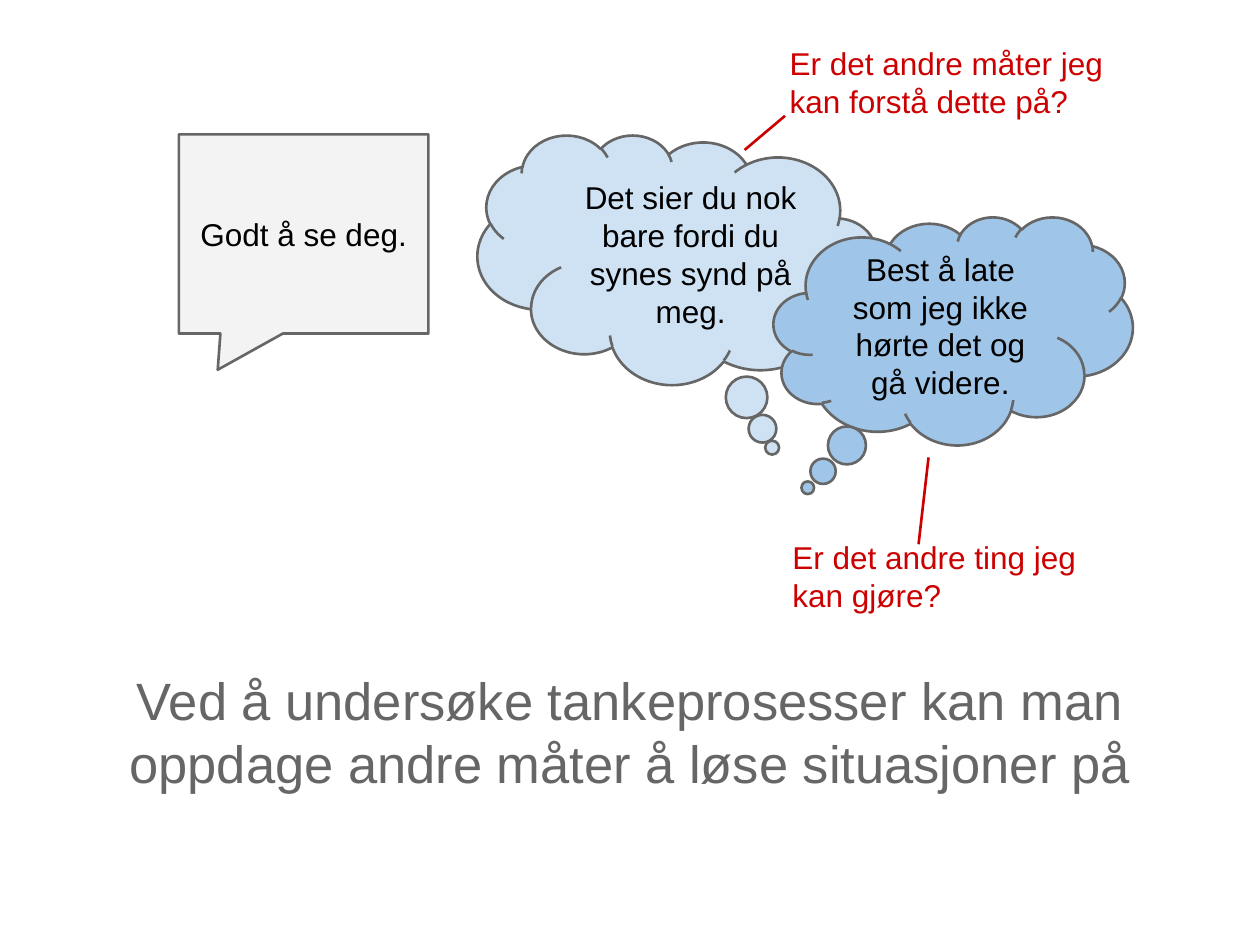
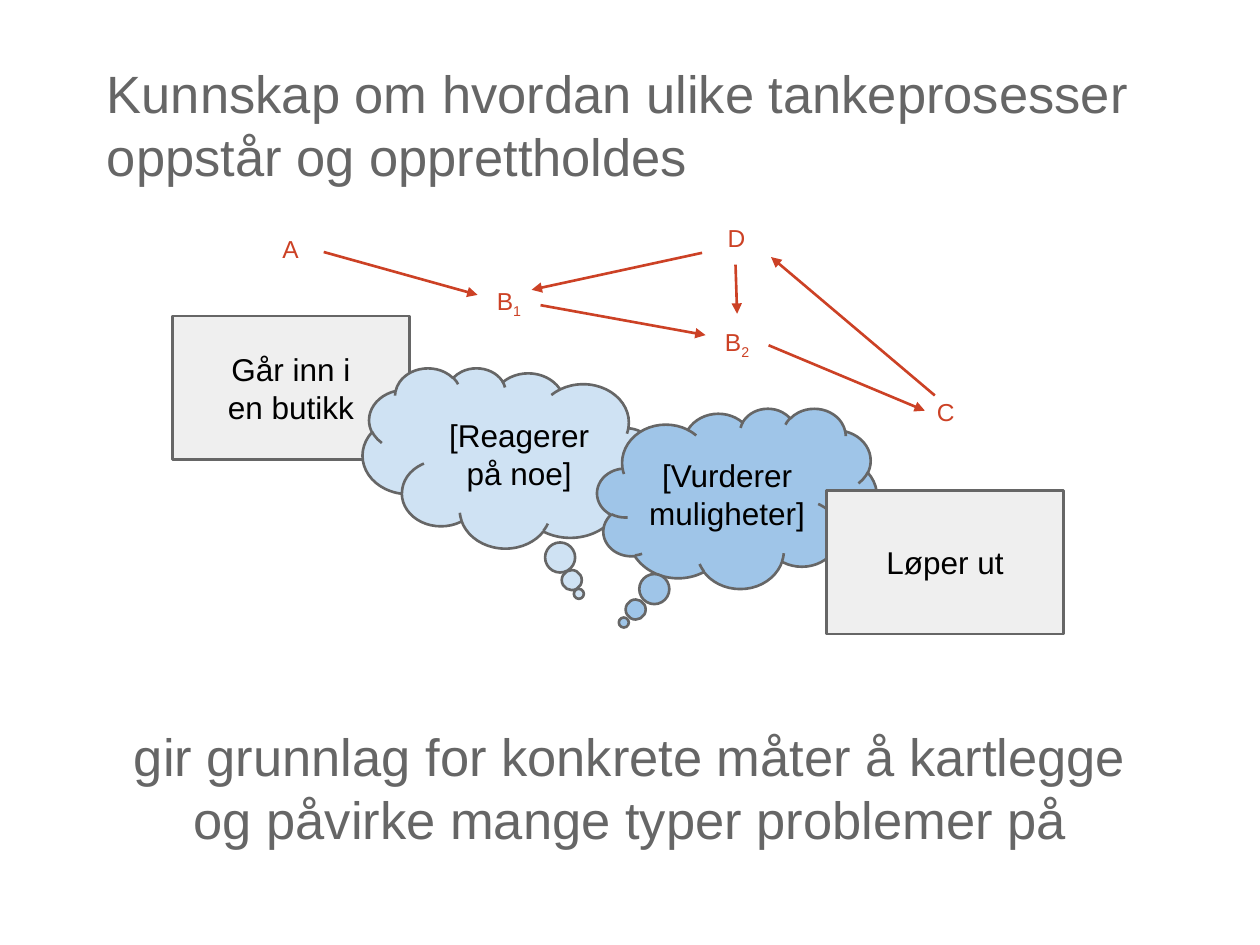
import pptx
import pptx.dml.color
import pptx.enum.shapes
import pptx.enum.text
import pptx.oxml.ns
import pptx.util
from lxml import etree

Pt = pptx.util.Pt
Shape = pptx.enum.shapes.MSO_SHAPE
Align = pptx.enum.text.PP_ALIGN
Anchor = pptx.enum.text.MSO_ANCHOR
qn = pptx.oxml.ns.qn

FONT = "Arial"
GREY, BLACK, RED, RUST = "666666", "000000", "CC0000", "CC4125"
LINE_WIDTH = 1.5
INSET = 7.2
HEADING_LEFT, HEADING_WIDTH, HEADING_HEIGHT = 54, 612, 82
QUESTION_SIZE = (200.9, 58.3)
EVENT_SIZE = (135.4, 82.1)
LABEL_HEIGHT = 36

REACTION = dict(preset=Shape.CLOUD_CALLOUT, fill="CFE2F3", tail=(-0.24, 0.754), flipped=True)
CHOICE = dict(preset=Shape.CLOUD_CALLOUT, fill="9FC5E8", tail=(-0.405, 0.689))
SPEECH = dict(preset=Shape.ROUNDED_RECTANGULAR_CALLOUT, fill="F3F3F3", tail=(-0.344, 0.682, 0))
EVENT = dict(preset=Shape.RECTANGLE, fill="EFEFEF")

SLIDES = [
    dict(
        headings=[
            (374.4, Align.CENTER,
             "Ved å undersøke tankeprosesser kan man oppdage andre måter å løse situasjoner på"),
        ],
        bubbles=[
            (SPEECH, (102.2, 76.8, 142.6, 113.8), ["Godt å se deg."]),
            (REACTION, (272.9, 77, 227.5, 142.6),
             ["Det sier du nok bare fordi du synes synd på meg."]),
            (CHOICE, (442.1, 123.8, 205.2, 130.3),
             ["Best å late som jeg ikke hørte det og gå videre."]),
        ],
        questions=[
            (444.2, 18, "Er det andre måter jeg kan forstå dette på?"),
            (445.7, 300.2, "Er det andre ting jeg kan gjøre?"),
        ],
        pointers=[
            (448.6, 66.2, 425.5, 85.7),
            (524.9, 311, 530.6, 261.4),
        ],
    ),
    dict(
        headings=[
            (27.4, Align.LEFT,
             "Kunnskap om hvordan ulike tankeprosesser oppstår og opprettholdes"),
            (406.8, Align.CENTER,
             "gir grunnlag for konkrete måter å kartlegge og påvirke mange typer problemer på"),
        ],
        bubbles=[
            (EVENT, (98.5, 180.6, *EVENT_SIZE), ["Går inn i", "en butikk"]),
            (REACTION, (207.2, 210.2, 167, 103), ["[Reagerer", "på noe]"]),
            (CHOICE, (341.3, 233.3, 159.8, 103), ["[Vurderer muligheter]"]),
            (EVENT, (472.3, 280.3, *EVENT_SIZE), ["Løper ut"]),
        ],
        labels=[
            (151.9, 126.7, 28.1, "A", ""),
            (272.9, 156.2, 36, "B", "1"),
            (403.2, 179.6, 36, "B", "2"),
            (526.3, 219.6, 28.1, "C", ""),
            (406.8, 120.2, 28.1, "D", ""),
        ],
        arrows=[
            (420.3, 151.2, 421.2, 179.3),
            (308.9, 174.4, 403.2, 191.5),
            (439.2, 197.3, 528.5, 234.7),
            (185, 144, 272.9, 168.5),
            (401.2, 144.5, 303.8, 165.6),
            (534.2, 226, 440.6, 146.9),
        ],
    ),
]


def color(hex_code):
    return pptx.dml.color.RGBColor.from_string(hex_code)


def set_text(holder, lines, size, hue, align, anchor=Anchor.TOP, subscript=""):
    frame = holder.text_frame
    frame.word_wrap = True
    frame.vertical_anchor = anchor
    frame.margin_left = frame.margin_right = Pt(INSET)
    frame.margin_top = frame.margin_bottom = Pt(INSET)
    paragraph = frame.paragraphs[0]
    for number, line in enumerate(lines):
        if number:
            paragraph.add_line_break()
        paragraph.add_run().text = line
    if subscript:
        lowered = paragraph.add_run()
        lowered.text = subscript
        lowered.font._element.set("baseline", "-25000")
    paragraph.alignment = align
    paragraph.font.name = FONT
    paragraph.font.size = Pt(size)
    paragraph.font.color.rgb = color(hue)


def add_text(slide, box, text, size, hue, align, subscript=""):
    holder = slide.shapes.add_textbox(*map(Pt, box))
    set_text(holder, [text], size, hue, align, subscript=subscript)


def add_bubble(slide, style, box, lines):
    bubble = slide.shapes.add_shape(style["preset"], *map(Pt, box))
    for index, value in enumerate(style.get("tail", ())):
        bubble.adjustments[index] = value
    if style.get("flipped"):
        bubble._element.spPr.find(qn("a:xfrm")).set("flipH", "1")
    bubble.shadow.inherit = False
    bubble.fill.solid()
    bubble.fill.fore_color.rgb = color(style["fill"])
    bubble.line.color.rgb = color(GREY)
    bubble.line.width = Pt(LINE_WIDTH)
    set_text(bubble, lines, 18, BLACK, Align.CENTER, Anchor.MIDDLE)


def add_line(slide, ends, hue, arrowhead=False):
    line = slide.shapes.add_connector(
        pptx.enum.shapes.MSO_CONNECTOR.STRAIGHT, *map(Pt, ends))
    line.line.color.rgb = color(hue)
    line.line.width = Pt(LINE_WIDTH)
    properties = line._element.spPr
    if arrowhead:
        etree.SubElement(properties.find(qn("a:ln")), qn("a:tailEnd"),
                         type="triangle", w="med", len="med")
    etree.SubElement(properties, qn("a:effectLst"))


def build_slide(deck, content):
    slide = deck.slides.add_slide(deck.slide_layouts[6])
    for top, align, text in content["headings"]:
        box = (HEADING_LEFT, top, HEADING_WIDTH, HEADING_HEIGHT)
        add_text(slide, box, text, 30, GREY, align)
    for style, box, lines in content["bubbles"]:
        add_bubble(slide, style, box, lines)
    for left, top, text in content.get("questions", ()):
        add_text(slide, (left, top, *QUESTION_SIZE), text, 18, RED, Align.LEFT)
    for left, top, width, letter, subscript in content.get("labels", ()):
        box = (left, top, width, LABEL_HEIGHT)
        add_text(slide, box, letter, 14, RUST, Align.CENTER, subscript)
    for ends in content.get("pointers", ()):
        add_line(slide, ends, RED)
    for ends in content.get("arrows", ()):
        add_line(slide, ends, RUST, arrowhead=True)


def main():
    deck = pptx.Presentation()
    deck.slide_width, deck.slide_height = Pt(720), Pt(540)
    for content in SLIDES:
        build_slide(deck, content)
    deck.save("out.pptx")


if __name__ == "__main__":
    main()
